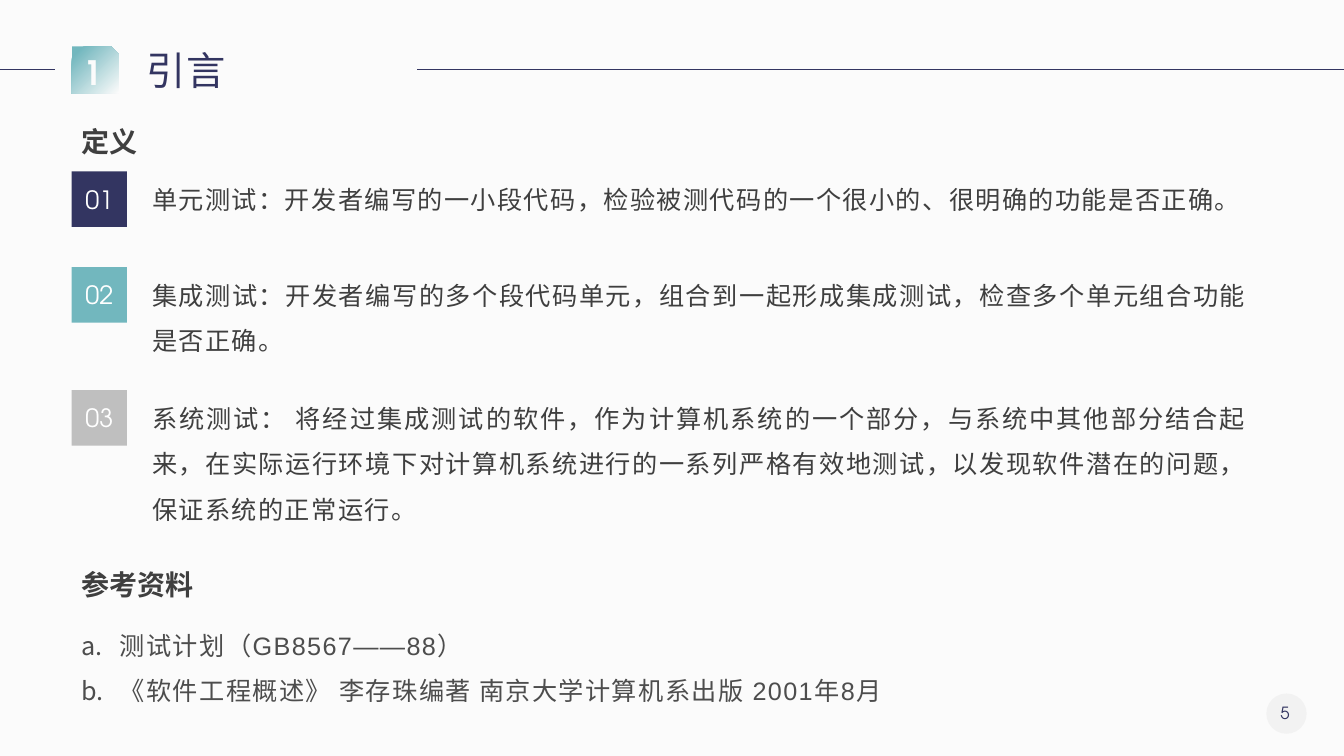
"""Build the introduction slide with test definitions and references."""
from dataclasses import dataclass

from lxml.etree import SubElement
from pptx import Presentation
from pptx.dml.color import RGBColor
from pptx.enum.shapes import MSO_CONNECTOR, MSO_SHAPE
from pptx.enum.text import MSO_ANCHOR, MSO_AUTO_SIZE, PP_ALIGN
from pptx.oxml.ns import qn
from pptx.shapes.autoshape import Shape
from pptx.slide import Slide
from pptx.text.text import TextFrame
from pptx.util import Inches, Pt


@dataclass(frozen=True)
class Theme:
    navy: str = "333561"
    teal: str = "72B7BE"
    silver: str = "BFBFBF"
    gray: str = "A6A6A6"
    paper: str = "FBFBFB"
    white: str = "FFFFFF"
    dark: str = "3F3F3F"
    soft: str = "4D4D4D"
    han: str = "Noto Sans CJK SC"
    geo: str = "TeX Gyre Adventor"
    serif: str = "Times New Roman"
    sans: str = "Arial"
    title: int = 28
    badge: int = 24
    head: int = 20
    body: int = 18
    small: int = 12


THEME = Theme()


@dataclass(frozen=True)
class Style:
    font: str
    size: int
    color: str
    bold: bool = False
    spaced: bool = False
    align: PP_ALIGN = PP_ALIGN.JUSTIFY
    lines: float = 1.0
    listed: bool = False


@dataclass(frozen=True)
class Box:
    left: float
    top: float
    width: float
    height: float

    def emu(self) -> tuple[int, int, int, int]:
        return Inches(self.left), Inches(self.top), Inches(self.width), Inches(self.height)


@dataclass(frozen=True)
class Term:
    mark: str
    top: float
    height: float
    color: str
    text: str


TITLE = Style(THEME.han, THEME.title, THEME.navy, spaced=True)
HEAD = Style(THEME.han, THEME.head, THEME.dark, bold=True)
BODY = Style(THEME.serif, THEME.body, THEME.dark, spaced=True, lines=1.5)
SOURCE = Style(THEME.sans, THEME.body, THEME.soft, spaced=True, lines=1.5, listed=True)
MARK = Style(THEME.geo, THEME.body, THEME.white, align=PP_ALIGN.CENTER)
BADGE = Style(THEME.geo, THEME.badge, THEME.paper, bold=True, align=PP_ALIGN.CENTER)
PAGE = Style(THEME.geo, THEME.small, THEME.navy, spaced=True, align=PP_ALIGN.CENTER)

LEFT = 0.71
SIDE = 0.55
WIDTH = 11.06
RULE = 0.69

TERMS = (
    Term("01", 1.7, 0.5, THEME.navy,
         "单元测试：开发者编写的一小段代码，检验被测代码的一个很小的、很明确的功能是否正确。"),
    Term("02", 2.65, 0.95, THEME.teal,
         "集成测试：开发者编写的多个段代码单元，组合到一起形成集成测试，检查多个单元组合功能是否正确。"),
    Term("03", 3.87, 1.41, THEME.silver,
         "系统测试： 将经过集成测试的软件，作为计算机系统的一个部分，与系统中其他部分结合起来，"
         "在实际运行环境下对计算机系统进行的一系列严格有效地测试，以发现软件潜在的问题，保证系统的正常运行。"),
)
HEADS = (("定义", 1.19), ("参考资料", 5.58))
BOOKS = ("测试计划（GB8567——88）", "《软件工程概述》 李存珠编著 南京大学计算机系出版 2001年8月")
RULES = ((0, 0.55), (4.14, 13.33))


def write(frame: TextFrame, texts: tuple[str, ...], style: Style,
          anchor: MSO_ANCHOR = MSO_ANCHOR.TOP) -> None:
    frame.word_wrap = True
    frame.vertical_anchor = anchor
    for index, text in enumerate(texts):
        para = frame.add_paragraph() if index else frame.paragraphs[0]
        if style.listed:
            props = para._p.get_or_add_pPr()
            props.set("marL", str(Inches(0.38)))
            props.set("indent", str(-Inches(0.38)))
            SubElement(props, qn("a:buFont"), typeface="+mj-lt")
            SubElement(props, qn("a:buAutoNum"), type="alphaLcPeriod")
        para.alignment = style.align
        para.line_spacing = style.lines
        run = para.add_run()
        run.text = text
        font = run.font
        font.size = Pt(style.size)
        font.bold = style.bold
        font.color.rgb = RGBColor.from_string(style.color)
        font.name = style.font
        props = run._r.get_or_add_rPr()
        SubElement(props, qn("a:ea"), typeface=THEME.han)
        if style.spaced:
            props.set("spc", "100")


def label(slide: Slide, box: Box, texts: tuple[str, ...], style: Style) -> TextFrame:
    frame = slide.shapes.add_textbox(*box.emu()).text_frame
    write(frame, texts, style)
    frame.auto_size = MSO_AUTO_SIZE.SHAPE_TO_FIT_TEXT
    return frame


def block(slide: Slide, kind: MSO_SHAPE, box: Box, color: str) -> Shape:
    shape = slide.shapes.add_shape(kind, *box.emu())
    shape.shadow.inherit = False
    shape.line.fill.background()
    shape.fill.solid()
    shape.fill.fore_color.rgb = RGBColor.from_string(color)
    return shape


def rule(slide: Slide, start: float, end: float) -> None:
    line = slide.shapes.add_connector(
        MSO_CONNECTOR.STRAIGHT, Inches(start), Inches(RULE), Inches(end), Inches(RULE))
    line.line.color.rgb = RGBColor.from_string(THEME.navy)
    line.line.width = Pt(1)
    SubElement(line._element.spPr, qn("a:effectLst"))


def number(slide: Slide) -> None:
    disc = block(slide, MSO_SHAPE.OVAL, Box(12.56, 6.88, 0.4, 0.4), THEME.gray)
    tint = disc._element.spPr.find(qn("a:solidFill")).find(qn("a:srgbClr"))
    SubElement(tint, qn("a:alpha"), val="10000")
    frame = label(slide, Box(12.47, 6.92, 0.55, 0.3), ("5",), PAGE)
    frame.auto_size = MSO_AUTO_SIZE.NONE
    frame.vertical_anchor = MSO_ANCHOR.MIDDLE


def header(slide: Slide) -> None:
    for start, end in RULES:
        rule(slide, start, end)
    badge = block(slide, MSO_SHAPE.SNIP_1_RECTANGLE, Box(LEFT, 0.46, 0.47, 0.47), THEME.teal)
    badge.fill.gradient()
    badge.fill.gradient_angle = 315
    for stop, (place, color) in zip(badge.fill.gradient_stops,
                                    ((0.11, THEME.teal), (0.99, THEME.paper))):
        stop.position = place
        stop.color.rgb = RGBColor.from_string(color)
    write(badge.text_frame, ("1",), BADGE, MSO_ANCHOR.MIDDLE)
    title = slide.shapes.title
    title.left, title.top, title.width, title.height = Box(1.35, 0.41, 2.62, 0.57).emu()
    write(title.text_frame, ("引言",), TITLE, MSO_ANCHOR.MIDDLE)
    title.text_frame.auto_size = MSO_AUTO_SIZE.SHAPE_TO_FIT_TEXT


def main() -> None:
    deck = Presentation()
    deck.slide_width, deck.slide_height = Inches(13.33), Inches(7.5)
    slide = deck.slides.add_slide(deck.slide_layouts[5])
    slide.background.fill.solid()
    slide.background.fill.fore_color.rgb = RGBColor.from_string(THEME.paper)
    number(slide)
    header(slide)
    for text, top in HEADS:
        label(slide, Box(LEFT, top, 1.7, 0.44), (text,), HEAD)
    for term in TERMS:
        tile = block(slide, MSO_SHAPE.RECTANGLE, Box(LEFT, term.top, SIDE, SIDE), term.color)
        write(tile.text_frame, (term.mark,), MARK, MSO_ANCHOR.MIDDLE)
        label(slide, Box(1.41, term.top - 0.07, WIDTH, term.height), (term.text,), BODY)
    label(slide, Box(LEFT, 6.05, WIDTH, 0.95), BOOKS, SOURCE)
    deck.save("out.pptx")


if __name__ == "__main__":
    main()
